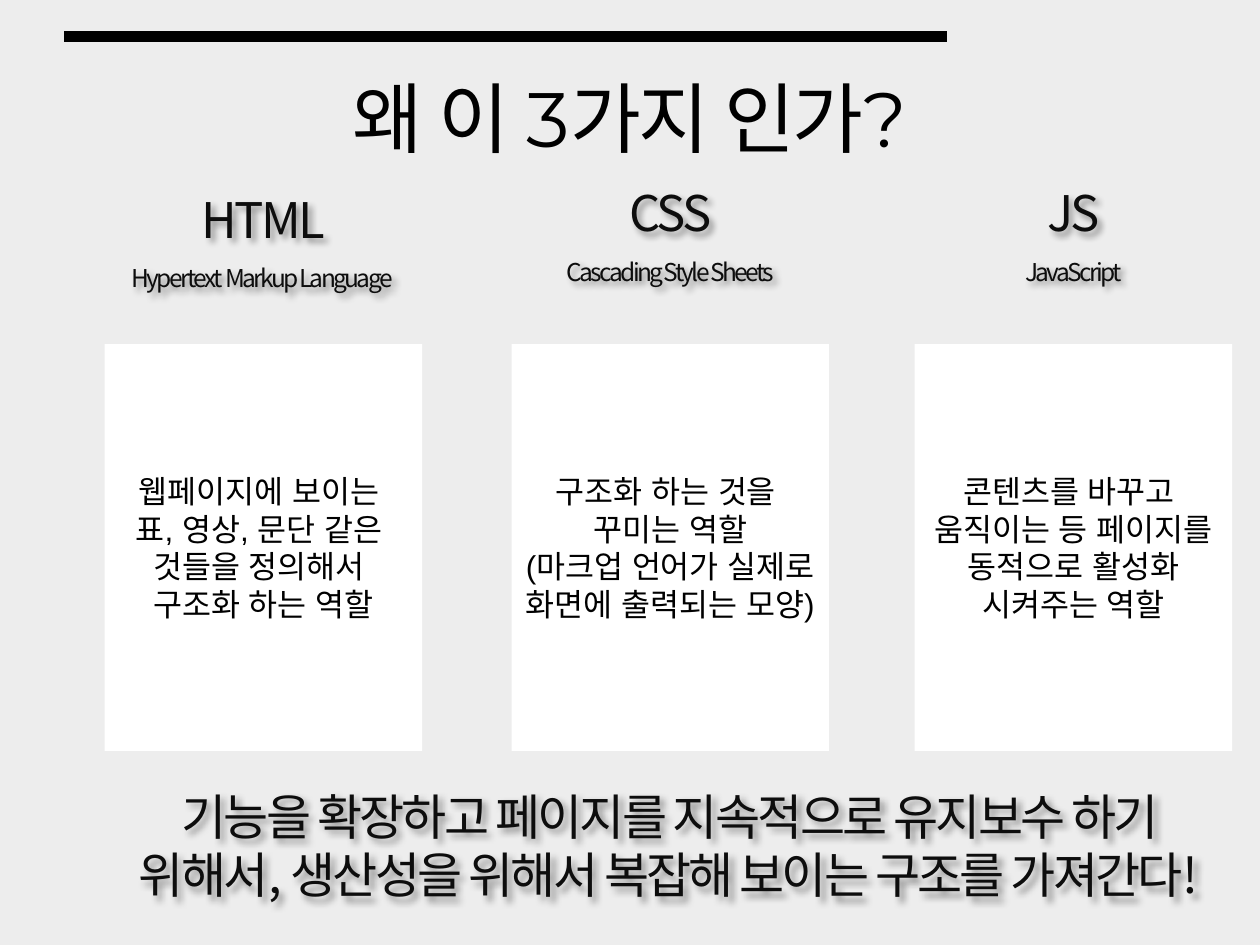
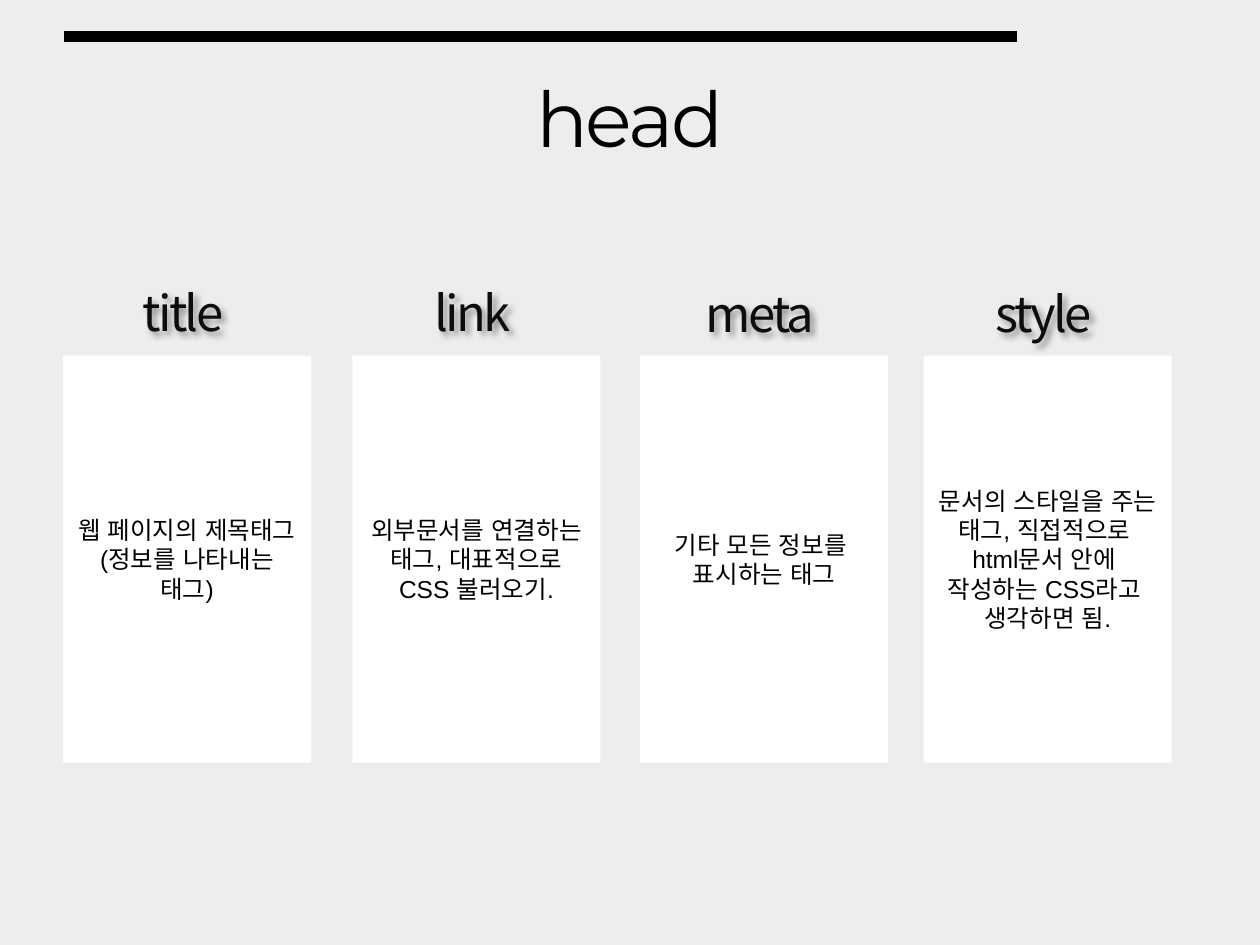
from dataclasses import dataclass
from typing import Any

from lxml.etree import SubElement as Sub
from pptx import Presentation
from pptx.dml.color import RGBColor as Color
from pptx.enum.shapes import MSO_CONNECTOR as Wire, MSO_SHAPE as Form
from pptx.enum.text import MSO_ANCHOR as Anchor, MSO_AUTO_SIZE as Fit, PP_ALIGN as Align
from pptx.oxml.ns import qn
from pptx.util import Pt


@dataclass(frozen=True)
class Theme:
    back: Color = Color(0xED, 0xED, 0xED)
    card: Color = Color(0xFF, 0xFF, 0xFF)
    ink: Color = Color(0, 0, 0)
    soft: Color = Color(0x0D, 0x0D, 0x0D)
    title: str = "Montserrat"
    head: str = "Noto Sans CJK KR"
    body: str = "Arial"
    huge: int = 44
    large: int = 28
    mid: int = 18
    small: int = 14
    tight: int = -150
    rule: int = 6


THEME = Theme()


@dataclass(frozen=True)
class Box:
    left: float
    top: float
    width: float
    height: float

    def lengths(self) -> tuple[Pt, ...]:
        return tuple(Pt(n) for n in (self.left, self.top, self.width, self.height))


@dataclass(frozen=True)
class Style:
    font: str
    size: int
    ink: Color
    tight: int = 0


TITLE = Style(THEME.title, THEME.huge, THEME.ink, THEME.tight)
HEAD = Style(THEME.head, THEME.large, THEME.soft, THEME.tight)
SUB = Style(THEME.head, THEME.small, THEME.soft, THEME.tight)
WIDE = Style(THEME.body, THEME.mid, THEME.ink)
SLIM = Style(THEME.body, THEME.small, THEME.ink)


@dataclass(frozen=True)
class Card:
    left: float
    head: str
    lines: tuple[str, ...]
    sub: str = ""
    drop: float = 0


@dataclass(frozen=True)
class Page:
    title: str
    end: float
    top: float
    width: float
    head: float
    style: Style
    cards: tuple[Card, ...]
    close: str = ""


CARD_TALL = 232.5
HEAD_TALL = 42.5
SUB_STEP = 33.8
TITLE_BOX = Box(36, 21.6, 648, 90)
CLOSE_BOX = Box(59.8, 457.2, 644.4, 51.1)
RULE_LEFT, RULE_TOP = 36.7, 20.9

PAGES = (
    Page("왜 이 3가지 인가?", 541.4, 196.6, 181.4, 100.1, WIDE, (
        Card(59.8, "HTML", ("웹페이지에 보이는 ", "표, 영상, 문단 같은 ",
                            "것들을 정의해서 ", "구조화 하는 역할"),
             "Hypertext  Markup Language ", 3.6),
        Card(292.3, "CSS", ("구조화 하는 것을 ", "꾸미는 역할",
                            "(마크업 언어가 실제로 화면에 출력되는 모양)"),
             "Cascading Style Sheets"),
        Card(522.7, "JS", ("콘텐츠를 바꾸고 ", "움직이는 등 페이지를 동적으로 활성화",
                           "시켜주는 역할"), "JavaScript"),
    ), "기능을 확장하고 페이지를 지속적으로 유지보수 하기 위해서, "
       "생산성을 위해서 복잡해 보이는 구조를 가져간다!"),
    Page("head", 581, 203.3, 141.8, 157, SLIM, (
        Card(36, "title ", ("웹 페이지의 제목태그", "(정보를 나타내는 태그)")),
        Card(201.4, "link ", ("외부문서를 연결하는 태그, 대표적으로 CSS 불러오기.",)),
        Card(365.8, "meta ", ("기타 모든 정보를 ", "표시하는 태그"), drop=0.5),
        Card(527.8, "style ", ("문서의 스타일을 주는 태그, 직접적으로 ", "html문서 안에 ",
                               "작성하는 CSS라고 ", "생각하면 됨."), drop=0.5),
    )),
)


def apply(item: Any, values: dict[str, Any]) -> None:
    for name, value in values.items():
        setattr(item, name, value)


def write(shape: Any, lines: tuple[str, ...], style: Style) -> None:
    frame = shape.text_frame
    apply(frame, {"word_wrap": True, "auto_size": Fit.NONE,
                  "vertical_anchor": Anchor.MIDDLE})
    for i, line in enumerate(lines):
        para = frame.add_paragraph() if i else frame.paragraphs[0]
        para.alignment = Align.CENTER
        run = para.add_run()
        run.text = line
        apply(run.font, {"name": style.font, "size": Pt(style.size)})
        run.font.color.rgb = style.ink
        props = run.font._element
        Sub(props, qn("a:ea"), typeface=style.font)
        if style.tight:
            props.set("spc", str(style.tight))


def shade(shape: Any) -> None:
    list_ = Sub(shape._element.spPr, qn("a:effectLst"))
    outer = Sub(list_, qn("a:outerShdw"), blurRad=str(Pt(4)), dist=str(Pt(3)),
                dir="2700000", algn="tl", rotWithShape="0")
    black = Sub(outer, qn("a:prstClr"), val="black")
    Sub(black, qn("a:alpha"), val="40000")


def label(slide: Any, box: Box, text: str, style: Style) -> None:
    shape = slide.shapes.add_textbox(*box.lengths())
    write(shape, (text,), style)
    shade(shape)


def panel(slide: Any, box: Box, lines: tuple[str, ...], style: Style) -> None:
    shape = slide.shapes.add_shape(Form.RECTANGLE, *box.lengths())
    shape.shadow.inherit = False
    shape.fill.solid()
    shape.fill.fore_color.rgb = THEME.card
    shape.line.fill.background()
    write(shape, lines, style)


def crown(slide: Any, page: Page) -> None:
    title = slide.shapes.title
    names = ("left", "top", "width", "height")
    apply(title, dict(zip(names, TITLE_BOX.lengths())))
    write(title, (page.title,), TITLE)
    rule = slide.shapes.add_connector(
        Wire.STRAIGHT, Pt(RULE_LEFT), Pt(RULE_TOP), Pt(page.end), Pt(RULE_TOP))
    rule.line.color.rgb = THEME.ink
    rule.line.width = Pt(THEME.rule)
    Sub(rule._element.spPr, qn("a:effectLst"))


def draw(deck: Any, page: Page) -> None:
    slide = deck.slides.add_slide(deck.slide_layouts[5])
    crown(slide, page)
    for card in page.cards:
        panel(slide, Box(card.left, page.top, page.width, CARD_TALL),
              card.lines, page.style)
        top = page.head + card.drop
        label(slide, Box(card.left, top, page.width, HEAD_TALL), card.head, HEAD)
        if card.sub:
            label(slide, Box(card.left, top + SUB_STEP, page.width, HEAD_TALL),
                  card.sub, SUB)
    if page.close:
        label(slide, CLOSE_BOX, page.close, HEAD)


def main() -> None:
    deck = Presentation()
    apply(deck, {"slide_width": Pt(720), "slide_height": Pt(540)})
    fill = deck.slide_master.background.fill
    fill.solid()
    fill.fore_color.rgb = THEME.back
    for page in PAGES:
        draw(deck, page)
    deck.save("out.pptx")


if __name__ == "__main__":
    main()
